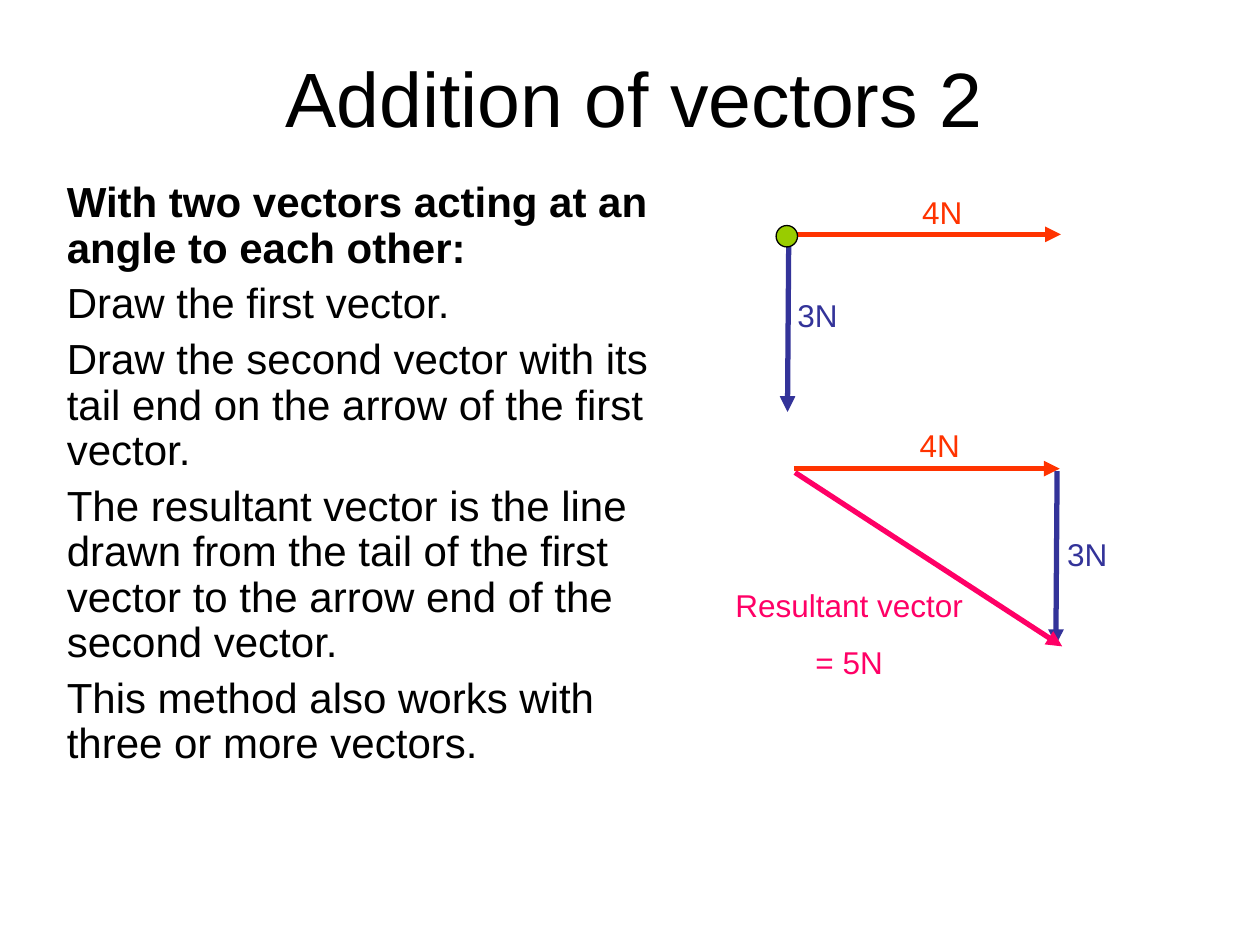
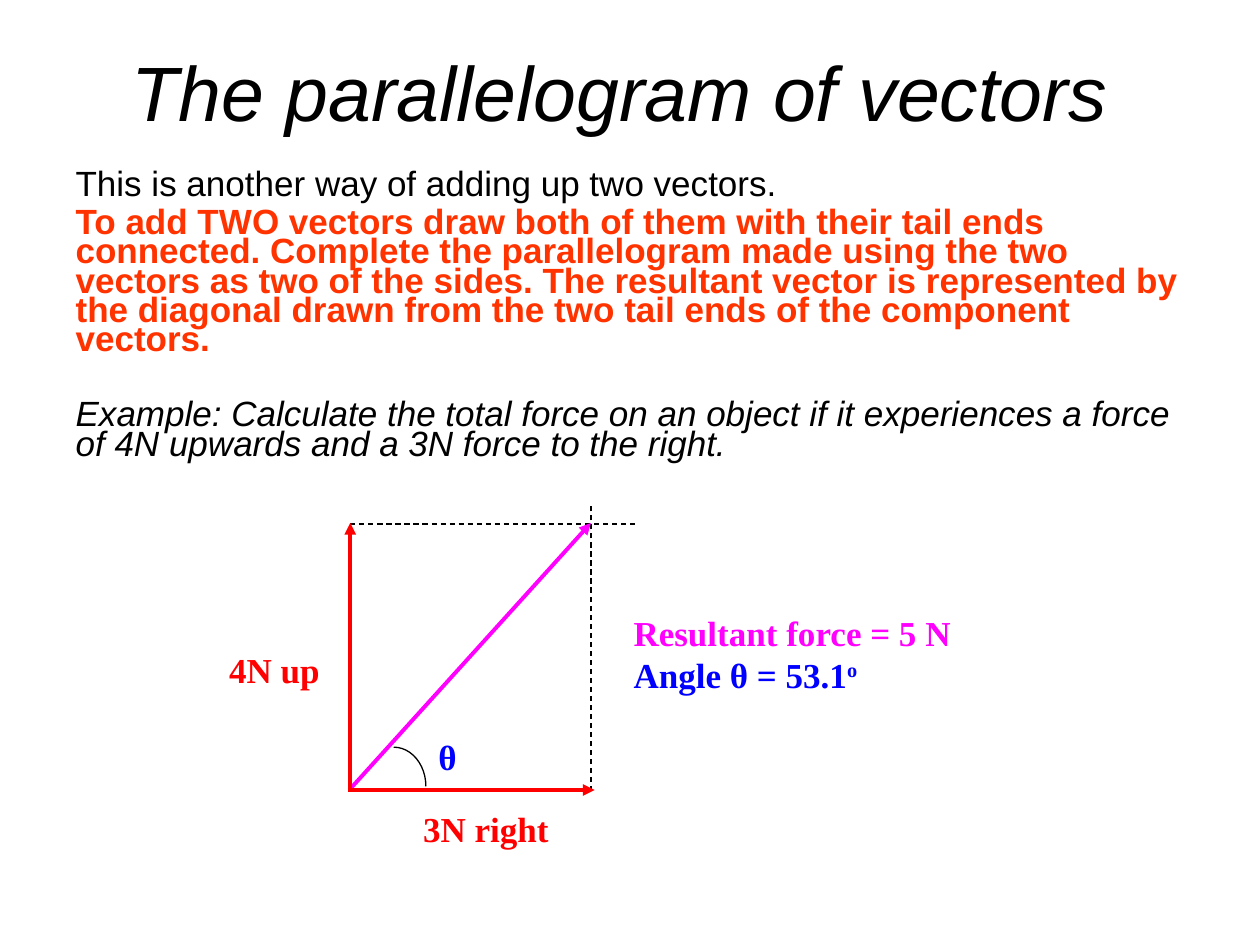
from dataclasses import dataclass

from lxml import etree
from pptx import Presentation
from pptx.dml.color import RGBColor
from pptx.enum.dml import MSO_LINE
from pptx.enum.shapes import MSO_CONNECTOR, MSO_SHAPE
from pptx.enum.text import MSO_ANCHOR, MSO_AUTO_SIZE, PP_ALIGN
from pptx.oxml.ns import qn
from pptx.presentation import Presentation as Deck
from pptx.slide import Slide
from pptx.util import Inches, Pt

STRAIGHT = MSO_CONNECTOR.STRAIGHT
DASH = MSO_LINE.DASH
CIRCLE, ARC = MSO_SHAPE.OVAL, MSO_SHAPE.ARC
TOP, MIDDLE = MSO_ANCHOR.TOP, MSO_ANCHOR.MIDDLE
LEFT, CENTER = PP_ALIGN.LEFT, PP_ALIGN.CENTER
FIXED = MSO_AUTO_SIZE.NONE

WIDTH, HEIGHT = Inches(10), Inches(7.5)
COLUMN, ROW = WIDTH / 100, HEIGHT / 75

Point = tuple[float, float]
Area = tuple[float, float, float, float]


@dataclass(frozen=True)
class Theme:
    sans: str = "Arial"
    serif: str = "Times New Roman"
    title_size: float = 44
    steps_size: float = 24
    text_size: float = 20
    label_size: float = 18
    label_gap: float = 11.2
    thick: float = 3
    medium: float = 2.25
    thin: float = 0.75
    black: str = "000000"
    orange: str = "FF3300"
    indigo: str = "333399"
    rose: str = "FF0066"
    lime: str = "99CC00"
    red: str = "FF0000"
    magenta: str = "FF00FF"
    blue: str = "0000FF"


THEME = Theme()


@dataclass(frozen=True)
class Line:
    text: str
    size: float
    colour: str = THEME.black
    font: str = THEME.sans
    bold: bool = False
    italic: bool = False
    align: PP_ALIGN = LEFT
    before: float = 0
    spacing: float = 1
    raised: str = ""


@dataclass(frozen=True)
class Stroke:
    tail: Point
    head: Point
    colour: str
    width: float
    arrow: bool = True


@dataclass(frozen=True)
class Force:
    name: str
    reach: Point
    colour: str


FOUR_NEWTONS = Force("4N", (21.1, 0), THEME.orange)
THREE_NEWTONS = Force("3N", (-0.1, 13.8), THEME.indigo)


def place(area: Area) -> tuple[int, int, int, int]:
    left, top, width, height = area
    return int(left * COLUMN), int(top * ROW), int(width * COLUMN), int(height * ROW)


def write(shape, lines: list[Line], anchor: MSO_ANCHOR = TOP) -> None:
    frame = shape.text_frame
    frame.word_wrap = True
    frame.auto_size = FIXED
    frame.vertical_anchor = anchor
    for index, line in enumerate(lines):
        para = frame.add_paragraph() if index else frame.paragraphs[0]
        para.alignment = line.align
        para.space_before = Pt(line.before)
        para.line_spacing = line.spacing
        font = para.font
        font.name, font.size = line.font, Pt(line.size)
        font.bold, font.italic = line.bold, line.italic
        font.color.rgb = RGBColor.from_string(line.colour)
        para.add_run().text = line.text
        if line.raised:
            span = para.add_run()
            span.text = line.raised
            span.font._element.set("baseline", "30000")


def add_page(deck: Deck, title: Line, title_area: Area,
             body: list[Line], body_area: Area) -> Slide:
    page = deck.slides.add_slide(deck.slide_layouts[1])
    heading, content = page.placeholders
    for box, area in ((heading, title_area), (content, body_area)):
        box.left, box.top, box.width, box.height = place(area)
    write(heading, [title], MIDDLE)
    write(content, body)
    for para in content.text_frame.paragraphs:
        properties = para._p.get_or_add_pPr()
        properties.set("marL", "0")
        properties.set("indent", "0")
        properties.insert_element_before(
            properties.makeelement(qn("a:buNone")), "a:tabLst", "a:defRPr", "a:extLst")
    return page


def add_label(page: Slide, area: Area, lines: list[Line]) -> None:
    write(page.shapes.add_textbox(*place(area)), lines)


def draw_stroke(page: Slide, stroke: Stroke) -> None:
    ends = [int(value) for x, y in (stroke.tail, stroke.head)
            for value in (x * COLUMN, y * ROW)]
    connector = page.shapes.add_connector(STRAIGHT, *ends)
    connector.line.color.rgb = RGBColor.from_string(stroke.colour)
    connector.line.width = Pt(stroke.width)
    properties = connector._element.spPr
    if stroke.arrow:
        etree.SubElement(properties.find(qn("a:ln")), qn("a:tailEnd"), type="triangle")
    else:
        connector.line.dash_style = DASH
    etree.SubElement(properties, qn("a:effectLst"))


def draw_outline(page: Slide, kind: MSO_SHAPE, area: Area, fill: str = "") -> None:
    shape = page.shapes.add_shape(kind, *place(area))
    shape.shadow.inherit = False
    if fill:
        shape.fill.solid()
        shape.fill.fore_color.rgb = RGBColor.from_string(fill)
    else:
        shape.fill.background()
    shape.line.color.rgb = RGBColor.from_string(THEME.black)
    shape.line.width = Pt(THEME.thin)


def draw_force(page: Slide, force: Force, tail: Point, label: Point) -> None:
    head = (tail[0] + force.reach[0], tail[1] + force.reach[1])
    draw_stroke(page, Stroke(tail, head, force.colour, THEME.thick))
    add_label(page, (*label, 5.5, 4), [
        Line(force.name, THEME.label_size, force.colour, before=THEME.label_gap)])


def add_addition_page(deck: Deck) -> None:
    steps = [
        "With two vectors acting at an angle to each other:",
        "Draw the first vector.",
        "Draw the second vector with its tail end on the arrow of the first vector.",
        "The resultant vector is the line drawn from the tail of the first vector "
        "to the arrow end of the second vector.",
        "This method also works with three or more vectors.",
    ]
    body = [Line(step, THEME.steps_size, bold=index == 0, before=6, spacing=0.9)
            for index, step in enumerate(steps)]
    title = Line("Addition of vectors 2", THEME.title_size, align=CENTER)
    page = add_page(deck, title, (5, 3, 90.7, 9.3), body, (4.3, 13.9, 49.7, 49.9))

    draw_force(page, FOUR_NEWTONS, (63.1, 18.6), (72.2, 14.8))
    draw_force(page, THREE_NEWTONS, (62.6, 18.9), (62.3, 23))
    draw_outline(page, CIRCLE, (61.6, 17.9, 1.7, 1.7), THEME.lime)

    draw_force(page, FOUR_NEWTONS, (63, 37.2), (72, 33.3))
    draw_force(page, THREE_NEWTONS, (83.9, 37.4), (83.7, 42))
    draw_stroke(page, Stroke((63.1, 37.5), (84.3, 51.3), THEME.rose, THEME.thick))
    add_label(page, (55.6, 46, 23.6, 8.6), [
        Line(text, THEME.label_size, THEME.rose, align=CENTER, before=THEME.label_gap)
        for text in ("Resultant vector", "= 5N")])


def add_parallelogram_page(deck: Deck) -> None:
    size = THEME.text_size
    body = [
        Line("This is another way of adding up two vectors.", size,
             before=5, spacing=0.7),
        Line("To add TWO vectors draw both of them with their tail ends connected. "
             "Complete the parallelogram made using the two vectors as two of the sides. "
             "The resultant vector is represented by the diagonal drawn from the two "
             "tail ends of the component vectors.", size, THEME.orange,
             bold=True, before=5, spacing=0.7),
        Line("Example: Calculate the total force on an object if it experiences a force "
             "of 4N upwards and a 3N force to the right.", size,
             italic=True, before=26, spacing=0.7),
    ]
    title = Line("The parallelogram of vectors ", THEME.title_size,
                 italic=True, align=CENTER)
    page = add_page(deck, title, (5, 3, 90.1, 8.4), body, (5, 13.2, 91, 26.7))

    for stroke in (
        Stroke((27.8, 41.6), (50.4, 41.6), THEME.black, THEME.thin, arrow=False),
        Stroke((46.9, 62.8), (46.9, 40), THEME.black, THEME.thin, arrow=False),
        Stroke((27.9, 62.5), (46.9, 41.5), THEME.magenta, THEME.medium),
        Stroke((27.8, 62.6), (27.8, 41.5), THEME.red, THEME.medium),
        Stroke((27.6, 62.7), (47.2, 62.7), THEME.red, THEME.medium),
    ):
        draw_stroke(page, stroke)
    draw_outline(page, ARC, (28.7, 59.3, 5.1, 6.2))

    for area, texts in (
        ((17.2, 51, 11.6, 5.1), [("4N up", THEME.red, "")]),
        ((32.6, 63.6, 13.8, 5.1), [("3N right", THEME.red, "")]),
        ((49.3, 48, 27.7, 8.8), [("Resultant force = 5 N", THEME.magenta, ""),
                                 ("Angle θ = 53.1", THEME.blue, "o")]),
        ((33.8, 57.9, 5.8, 4.8), [("θ", THEME.blue, "")]),
    ):
        add_label(page, area, [
            Line(text, size, colour, THEME.serif, bold=True, raised=raised)
            for text, colour, raised in texts])


def main() -> None:
    deck = Presentation()
    deck.slide_width, deck.slide_height = WIDTH, HEIGHT
    add_addition_page(deck)
    add_parallelogram_page(deck)
    deck.save("out.pptx")


if __name__ == "__main__":
    main()
